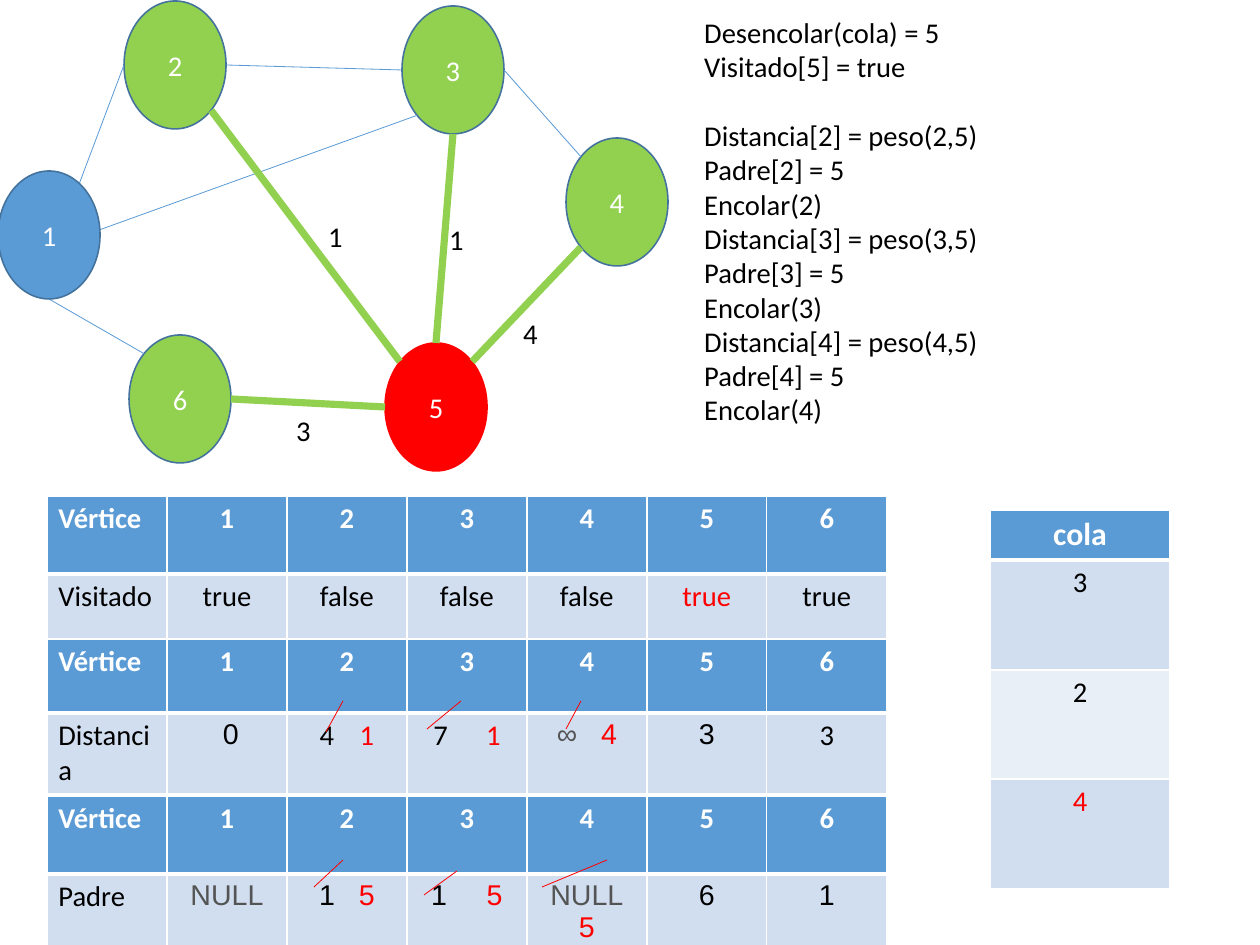
from lxml import etree
from pptx import Presentation
from pptx.dml.color import RGBColor
from pptx.enum.shapes import MSO_CONNECTOR, MSO_SHAPE
from pptx.enum.text import MSO_ANCHOR, PP_ALIGN
from pptx.oxml.ns import qn
from pptx.util import Emu, Pt

PX = 8000  # EMU
BLUE, DARK_BLUE, GREEN, RED = "5B9BD5", "43729D", "92D050", "FF0000"
WHITE, BLACK, GREY = "FFFFFF", "000000", "545454"
BAND, LIGHT_BAND = "D1DEEF", "E9EFF7"
NODE_W, NODE_H = 102, 128
DIAG = 0.71
TOP, BOTTOM, LEFT, RIGHT = (0, -1), (0, 1), (-1, 0), (1, 0)
TL, TR, BL, BR = (-DIAG, -DIAG), (DIAG, -DIAG), (-DIAG, DIAG), (DIAG, DIAG)

NODES = {  # vertex: left, top, fill, outline
    2: (124, 1, GREEN, DARK_BLUE),
    3: (402, 6, GREEN, DARK_BLUE),
    6: (129, 335, GREEN, DARK_BLUE),
    5: (385, 343, RED, RED),
    4: (566, 138, GREEN, DARK_BLUE),
    1: (-2, 171, BLUE, DARK_BLUE),
}
PLAIN_EDGES = [
    (1, (0.55, -DIAG), 2, LEFT), (2, RIGHT, 3, LEFT), (3, RIGHT, 4, TL),
    (6, TL, 1, BOTTOM), (3, BL, 1, (DIAG, 0)),
]
CHOSEN_EDGES = [(4, BL, 5, TR), (5, LEFT, 6, RIGHT), (3, BOTTOM, 5, TOP), (5, TL, 2, BR)]
WEIGHTS = [("4", 512, 310), ("1", 438, 216), ("1", 317, 213), ("3", 285, 407)]
STEPS = ["Desencolar(cola) = 5", "Visitado[5] = true"] + [
    line for v in (2, 3, 4)
    for line in (f"Distancia[{v}] = peso({v},5)", f"Padre[{v}] = 5", f"Encolar({v})")]
STRIKES = [
    (461, 701, 427, 729), (457, 871, 424, 895), (343, 701, 326, 732),
    (314, 887, 343, 860), (581, 701, 566, 729), (607, 860, 542, 887),
]


def rgb(value):
    return RGBColor.from_string(value)


def px(*values):
    return [Emu(round(v * PX)) for v in values]


def add_run(p, text, color=BLACK, font="Calibri", size=18, bold=False):
    r = p.add_run()
    r.text = text
    for name, value in {"name": font, "size": Pt(size), "bold": bold}.items():
        setattr(r.font, name, value)
    r.font.color.rgb = rgb(color)
    return r


def add_line(s, ends, color, width):
    line = s.shapes.add_connector(MSO_CONNECTOR.STRAIGHT, *px(*ends))
    line.line.color.rgb = rgb(color)
    line.line.width = Pt(width)
    etree.SubElement(line._element.spPr, qn("a:effectLst"))


def add_text(s, box, lines, wrap, gap_before=None):
    tf = s.shapes.add_textbox(*px(*box)).text_frame
    tf.word_wrap = wrap
    for i, line in enumerate(lines):
        p = tf.add_paragraph() if i else tf.paragraphs[0]
        add_run(p, line)
        if i == gap_before:
            p.space_before = Pt(22)


def add_node(s, x, y, vertex):
    left, top, fill, outline = NODES[vertex]
    sp = s.shapes.add_shape(MSO_SHAPE.OVAL, *px(x + left, y + top, NODE_W, NODE_H))
    sp.shadow.inherit = False
    sp.fill.solid()
    sp.fill.fore_color.rgb = rgb(fill)
    sp.line.color.rgb = rgb(outline)
    sp.line.width = Pt(1)
    sp.text_frame.vertical_anchor = MSO_ANCHOR.MIDDLE
    p = sp.text_frame.paragraphs[0]
    p.alignment = PP_ALIGN.CENTER
    add_run(p, str(vertex), WHITE)


def node_point(vertex, direction):
    """Point of a node, as a share of its half width and half height."""
    left, top = NODES[vertex][:2]
    return (left + NODE_W / 2 * (1 + direction[0]),
            top + NODE_H / 2 * (1 + direction[1]))


def add_graph(s, x, y):
    *back, front = NODES
    for vertex in back:
        add_node(s, x, y, vertex)
    for edges, color, width in ((PLAIN_EDGES, BLUE, 0.5), (CHOSEN_EDGES, GREEN, 4.5)):
        for a, a_side, b, b_side in edges:
            (ax, ay), (bx, by) = node_point(a, a_side), node_point(b, b_side)
            add_line(s, (x + ax, y + ay, x + bx, y + by), color, width)
    add_node(s, x, y, front)
    for text, left, top in WEIGHTS:
        add_text(s, (x + left, y + top, 37, 46), [text], False)


def set_borders(cell, bottom):
    tc_pr = cell._tc.get_or_add_tcPr()
    for side, width in {"L": 0.96, "R": 0.96, "T": 0.96, "B": bottom}.items():
        ln = etree.SubElement(tc_pr, qn(f"a:ln{side}"), w=str(Pt(width)))
        fill = etree.SubElement(ln, qn("a:solidFill"))
        etree.SubElement(fill, qn("a:srgbClr"), val=WHITE)


def value(text, color=BLACK, font="Calibri"):
    return [(text, {"color": color, "font": font})]


def changed(old, new, gap, color=BLACK, font="Calibri"):
    """Old value, a space widened by gap points, and the new value in red."""
    return value(old, color, font) + [(" ", {"font": font, "gap": gap})] + value(new, RED, font)


def fill_cell(cell, runs, fill, align, bottom):
    set_borders(cell, bottom)
    cell.fill.solid()
    cell.fill.fore_color.rgb = rgb(fill)
    p = cell.text_frame.paragraphs[0]
    p.alignment = align
    for text, style in runs:
        style = dict(style)
        gap = style.pop("gap", 0)
        r = add_run(p, text, **style)
        if gap:
            r._r.get_or_add_rPr().set("spc", str(gap * 100))


def add_grid(s, box, heights, rows, fills, first_align=PP_ALIGN.CENTER):
    """Table with a header row and equal columns."""
    table = s.shapes.add_table(len(rows), len(rows[0]), *px(*box)).table
    for column in table.columns:
        column.width = px(box[2] / len(rows[0]))[0]
    for i, (height, row, fill) in enumerate(zip(heights, rows, fills)):
        table.rows[i].height = px(height)[0]
        for j, runs in enumerate(row):
            fill_cell(table.cell(i, j), runs, fill,
                      PP_ALIGN.CENTER if j else first_align, 0.96 if i else 3)


def add_vertex_table(s, x, y, heights, name, cells):
    head = {"color": WHITE, "bold": True}
    header = [[(text, head)] for text in ("Vértice", *"123456")]
    add_grid(s, (x, y, 840, sum(heights)), heights, [header, [value(name)] + cells],
             [BLUE, BAND], PP_ALIGN.LEFT)


def add_queue(s, x, y):
    header = [[("cola", {"color": WHITE, "bold": True, "size": 20})]]
    rows = [header, [value("3")], [value("2")], [value("4", RED)]]
    heights = (50, 110, 109, 110)
    add_grid(s, (x, y, 180, sum(heights)), heights, rows, [BLUE, BAND, LIGHT_BAND, BAND])


def main():
    prs = Presentation()
    prs.slide_width, prs.slide_height = px(1260, 945)
    s = prs.slides.add_slide(prs.slide_layouts[6])
    add_graph(s, 0, 0)

    visited = [value(t) for t in ("true", "false", "false", "false")]
    visited += [value("true", RED), value("true")]
    distance = [value(" 0", font="Arial"), changed("4", "1", 12), changed("7", "1", 20),
                changed("∞", "4", 10, GREY, "Arial"), value("3", font="Arial"), value("3")]
    parent = [value("NULL", GREY, "Arial"), changed("1", "5", 10, font="Arial"),
              changed("1", "5", 20, font="Arial"), changed("NULL", "5", 5, GREY, "Arial"),
              value("6", font="Arial"), value("1", font="Arial")]
    for y, heights, name, cells in ((496, (78, 78), "Visitado", visited),
                                    (639, (74, 81), "Distancia", distance),
                                    (796, (78, 75), "Padre", parent)):
        add_vertex_table(s, 47, y, heights, name, cells)
    add_queue(s, 990, 510)
    add_text(s, (693, 9, 492, 457), STEPS, True, gap_before=2)
    for ends in STRIKES:
        add_line(s, ends, RED, 0.5)
    prs.save("out.pptx")


if __name__ == "__main__":
    main()
